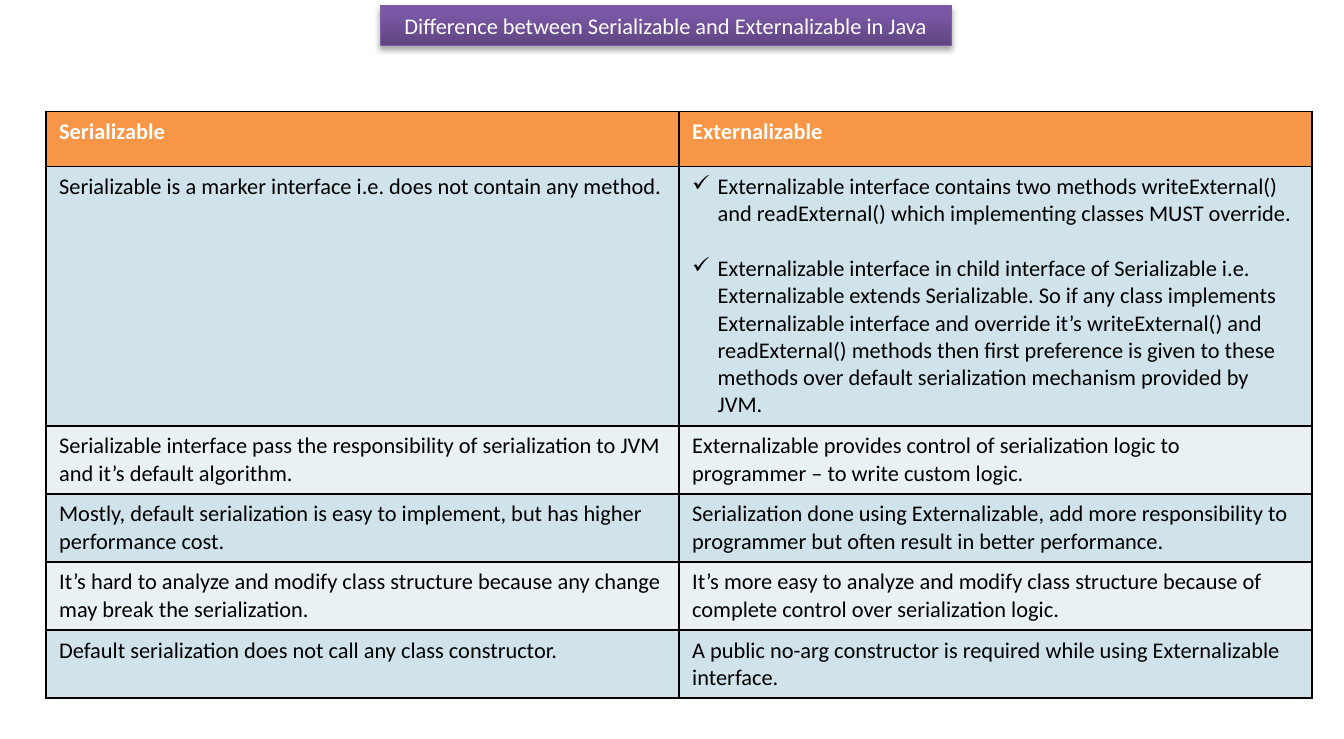
from copy import deepcopy

from lxml.etree import SubElement
from pptx import Presentation
from pptx.dml.color import RGBColor
from pptx.enum.shapes import MSO_SHAPE
from pptx.enum.text import MSO_ANCHOR, PP_ALIGN
from pptx.oxml.ns import qn
from pptx.util import Inches, Pt

WIDTH, HEIGHT = 10, 5.5
COL_WIDTHS = [4.71, 4.71]
ROW_HEIGHTS = [0.41, 1.9] + [0.5] * 4
HEADER_FILL, BANDS = "F79646", ["D0E3EA", "E9F1F5"]
INDENT = 0.19

TITLE = "Difference between Serializable and Externalizable in Java"
ROWS = [
    ("Serializable", "Externalizable"),
    ("Serializable is a marker interface i.e. does not contain any method.",
     ["Externalizable interface contains two methods writeExternal() and readExternal() "
      "which implementing classes MUST override.",
      "Externalizable interface in child interface of Serializable i.e. Externalizable "
      "extends Serializable. So if any class implements Externalizable interface and "
      "override it’s writeExternal() and readExternal() methods then first preference is "
      "given to these methods over default serialization mechanism provided by JVM."]),
    ("Serializable interface pass the responsibility of serialization to JVM and it’s "
     "default algorithm.",
     "Externalizable provides control of serialization logic to programmer – to write "
     "custom logic."),
    ("Mostly, default serialization is easy to implement, but has higher performance cost.",
     "Serialization done using Externalizable, add more responsibility to programmer but "
     "often result in better performance."),
    ("It’s hard to analyze and modify class structure because any change may break the "
     "serialization.",
     "It’s more easy to analyze and modify class structure because of complete control "
     "over serialization logic."),
    ("Default serialization does not call any class constructor.",
     "A public no-arg constructor is required while using Externalizable interface."),
]


def rgb(color):
    return RGBColor.from_string(color)


def write(tf, text, color="000000", bold=False, align=PP_ALIGN.LEFT, bullet=None, gap=0):
    """Fill a text frame with one paragraph, or one for each item of a list."""
    tf.word_wrap = True
    items = [text] if isinstance(text, str) else text
    for i, item in enumerate(items):
        p = tf.add_paragraph() if i else tf.paragraphs[0]
        p.alignment = align
        if i:
            p.space_before = Pt(gap)
        if bullet:
            pPr = p._p.get_or_add_pPr()
            pPr.set("marL", str(Inches(INDENT)))
            pPr.set("indent", str(-Inches(INDENT)))
            SubElement(pPr, qn("a:buChar"), char=bullet)
        r = p.add_run()
        r.text = item
        r.font.name, r.font.size, r.font.bold = "Calibri", Pt(12), bold
        r.font.color.rgb = rgb(color)


def fill_gradient(sp, stops, angle):
    sp.fill.gradient()
    sp.fill.gradient_angle = angle
    gs_list = sp._element.spPr.find(".//" + qn("a:gsLst"))
    while len(gs_list) < len(stops):
        gs_list.append(deepcopy(gs_list[0]))
    for stop, (position, color) in zip(sp.fill.gradient_stops, stops):
        stop.position = position
        stop.color.rgb = rgb(color)


def add_shadow(sp, blur, distance, opacity):
    """Give the shape a black shadow that falls straight down."""
    sp.shadow.inherit = False
    effects = sp._element.spPr.find(qn("a:effectLst"))
    shadow = SubElement(effects, qn("a:outerShdw"), blurRad=str(Pt(blur)),
                        dist=str(Pt(distance)), dir="5400000", rotWithShape="0")
    color = SubElement(shadow, qn("a:srgbClr"), val="000000")
    SubElement(color, qn("a:alpha"), val=str(opacity * 1000))


def add_title(s, text):
    sp = s.shapes.add_shape(MSO_SHAPE.RECTANGLE, Inches(2.83), Inches(0.04),
                            Inches(4.25), Inches(0.3))
    fill_gradient(sp, [(0, "5F4480"), (0.8, "7B58A6"), (1, "7C57A8")], angle=90)
    sp.line.color.rgb = rgb("7D60A0")
    sp.line.width = Pt(0.75)
    add_shadow(sp, blur=3.1, distance=1.8, opacity=35)
    sp.text_frame.vertical_anchor = MSO_ANCHOR.MIDDLE
    write(sp.text_frame, text, color="FFFFFF", align=PP_ALIGN.CENTER)


def style_cell(cell, fill, border="000000"):
    tcPr = cell._tc.get_or_add_tcPr()
    for side in ("lnL", "lnR", "lnT", "lnB"):
        ln = SubElement(tcPr, qn("a:" + side), w=str(Pt(1)))
        SubElement(SubElement(ln, qn("a:solidFill")), qn("a:srgbClr"), val=border)
    cell.fill.solid()
    cell.fill.fore_color.rgb = rgb(fill)


def add_comparison(s, rows):
    table = s.shapes.add_table(len(rows), len(COL_WIDTHS), Inches(0.34), Inches(0.83),
                               Inches(sum(COL_WIDTHS)), Inches(sum(ROW_HEIGHTS))).table
    for column, width in zip(table.columns, COL_WIDTHS):
        column.width = Inches(width)
    for i, (row, height) in enumerate(zip(table.rows, ROW_HEIGHTS)):
        row.height = Inches(height)
        header = i == 0
        for cell, text in zip(row.cells, rows[i]):
            style_cell(cell, HEADER_FILL if header else BANDS[(i - 1) % 2])
            write(cell.text_frame, text, color="FFFFFF" if header else "000000", bold=header,
                  bullet="✓" if isinstance(text, list) else None, gap=14.65)


def main():
    prs = Presentation()
    prs.slide_width, prs.slide_height = Inches(WIDTH), Inches(HEIGHT)
    s = prs.slides.add_slide(prs.slide_layouts[6])
    add_title(s, TITLE)
    add_comparison(s, ROWS)
    prs.save("out.pptx")


if __name__ == "__main__":
    main()
